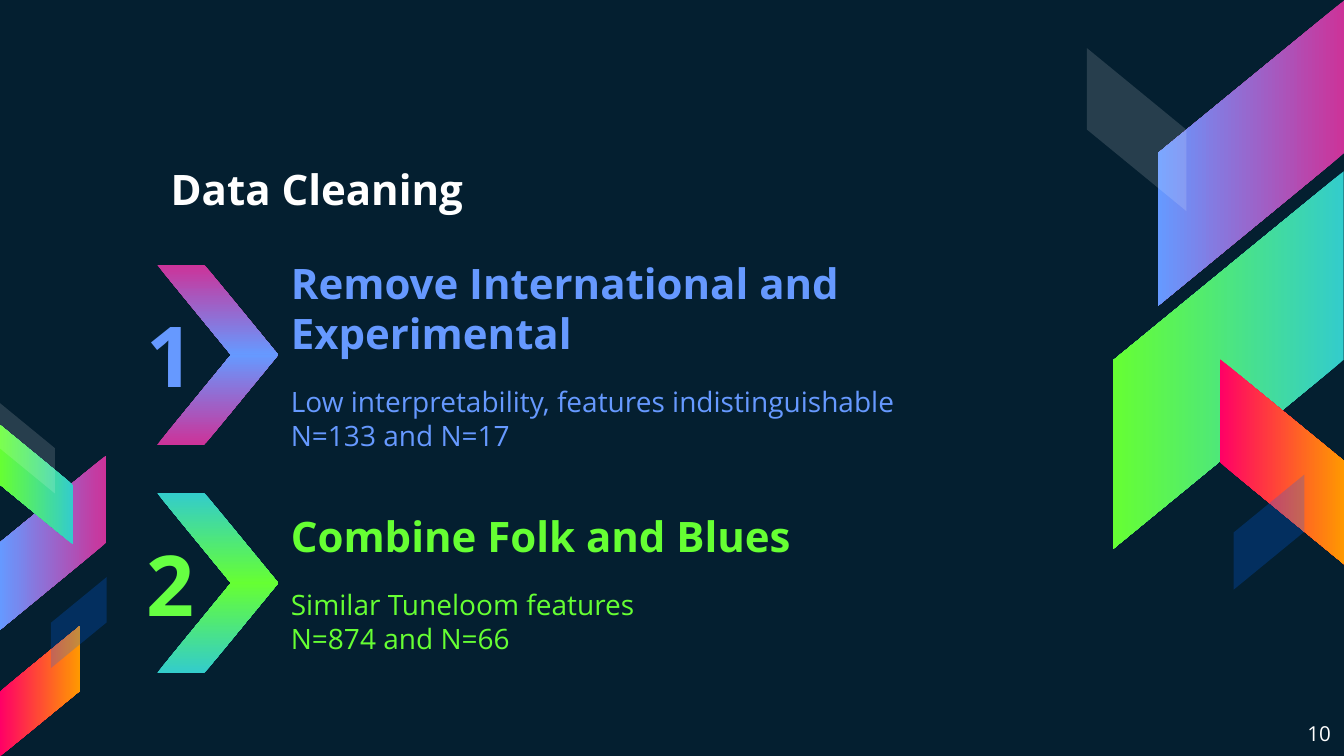
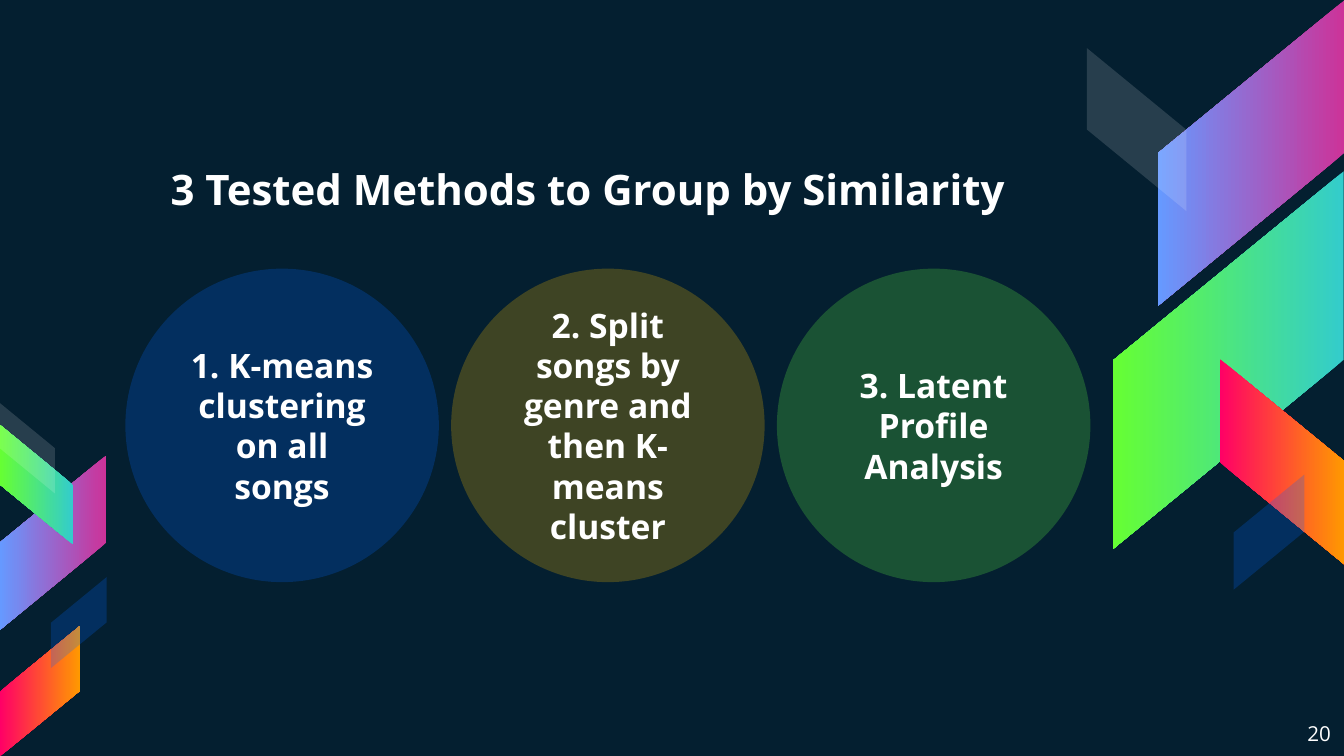
from lxml import etree
from pptx import Presentation
from pptx import util as u
from pptx.dml.color import RGBColor
from pptx.enum import shapes, text
from pptx.oxml.ns import qn

COLORS = {
    "night": "041F30", "white": "FFFFFF", "magenta": "CC3399", "sky": "6699FF",
    "teal": "33CCCC", "green": "66FF33", "lime": "66FF42", "red": "FF0066",
    "orange": "FF9900", "blue": "0066FF", "amber": "FFC000",
}
FONT = "Open Sans"
INSET = 0.34
SLANT = 0.82

VIOLET = ("magenta", "sky")
MINT = ("teal", "green")
FIRE = ("red", "orange")
GLASS = ("white", 14)
DEEP = ("blue", 23)

STRIPES = [
    ((27.69, 1.5, 7.7, 4.7), 90, True, VIOLET),
    ((26.19, 6.17, 9.52, 5.82), 90, True, MINT),
    ((29.72, 10.06, 5.18, 3.15), 270, False, FIRE),
    ((26.59, 2.01, 4.11, 2.51), 270, False, GLASS),
    ((30.53, 12.52, 2.9, 1.78), 270, True, DEEP),
    ((-0.86, 12.34, 4.39, 2.67), 90, True, VIOLET),
    ((-0.58, 11.3, 3, 1.83), 90, False, MINT),
    ((-0.63, 16.41, 3.28, 2.01), 270, True, FIRE),
    ((-0.46, 10.59, 2.29, 1.4), 270, False, GLASS),
    ((0.84, 14.99, 2.29, 1.4), 270, True, DEEP),
]
CLEANING = {
    "title": "Data Cleaning", "number": "10",
    "steps": [
        ("1", "sky", "sky", VIOLET, "Remove International and Experimental",
         ["Low interpretability, features indistinguishable", "N=133 and N=17"]),
        ("2", "lime", "green", MINT, "Combine Folk and Blues",
         ["Similar Tuneloom features", "N=874 and N=66"]),
    ],
}
METHODS = {
    "title": "3 Tested Methods to Group by Similarity", "number": "20",
    "circles": [
        ("1. K-means clustering on all songs", DEEP),
        ("2. Split songs by genre and then K-means cluster", ("amber", 23)),
        ("3. Latent Profile Analysis", ("lime", 23)),
    ],
}
TITLE_BOX = (3.96, 3.38, 22.12, 2.36)
NUMBER_BOX = (31.7, 17.83, 2.18, 1.22)
STEP_TOP, STEP_PITCH = 6.67, 5.75
CHEVRON_LEFT, CHEVRON_WIDTH, CHEVRON_HALF = 3.96, 3.05, 2.27
CIRCLE_LEFT, CIRCLE_TOP, CIRCLE_SIZE, CIRCLE_PITCH = 3.16, 6.77, 7.9, 8.21


def rgb(name):
    return RGBColor.from_string(COLORS[name])


def lengths(box):
    return [u.Cm(value) for value in box]


def apply(target, values):
    for name, value in values.items():
        setattr(target, name, value)


def write(shape, lines, align="LEFT", anchor="TOP", inset=INSET, wrap=True, fit="NONE"):
    frame = shape.text_frame
    apply(frame, {
        "word_wrap": wrap, "auto_size": getattr(text.MSO_AUTO_SIZE, fit),
        "vertical_anchor": getattr(text.MSO_ANCHOR, anchor),
    })
    for side in ("left", "top", "right", "bottom"):
        setattr(frame, f"margin_{side}", u.Cm(inset))
    for index, (words, size, color, bold, before) in enumerate(lines):
        paragraph = frame.paragraphs[0] if index == 0 else frame.add_paragraph()
        apply(paragraph, {"alignment": getattr(text.PP_ALIGN, align),
                          "space_before": u.Pt(before)})
        run = paragraph.add_run()
        run.text = words
        apply(run.font, {"name": FONT, "size": u.Pt(size), "bold": bold})
        run.font.color.rgb = rgb(color)


def add_text(slide, box, lines, **style):
    write(slide.shapes.add_textbox(*lengths(box)), lines, **style)


def add_figure(slide, kind, box):
    shape = slide.shapes.add_shape(kind, *lengths(box))
    shape.shadow.inherit = False
    shape.line.fill.background()
    return shape


def fill_sheer(shape, color, percent):
    shape.fill.solid()
    shape.fill.fore_color.rgb = rgb(color)
    node = next(shape.element.spPr.iter(qn("a:srgbClr")))
    etree.SubElement(node, qn("a:alpha"), val=str(percent * 1000))


def fill_gradient(shape, colors):
    shape.fill.gradient()
    shape.fill.gradient_angle = 270
    for stop, position, color in zip(shape.fill.gradient_stops, (0, 1), colors):
        stop.position = position
        stop.color.rgb = rgb(color)


def add_stripe(slide, box, rotation, flipped, paint):
    shape = add_figure(slide, shapes.MSO_SHAPE.PARALLELOGRAM, box)
    shape.adjustments[0] = SLANT
    shape.rotation = rotation
    if flipped:
        shape.element.spPr.find(qn("a:xfrm")).set("flipH", "1")
    if paint[1] in COLORS:
        fill_gradient(shape, paint)
    else:
        fill_sheer(shape, *paint)
    return shape


def style_layout(layout, slide):
    layout.background.fill.solid()
    layout.background.fill.fore_color.rgb = rgb("night")
    title = layout.placeholders[0]
    apply(title, dict(zip(("left", "top", "width", "height"), lengths(TITLE_BOX))))
    for index, stripe in enumerate(STRIPES):
        layout.shapes.element.insert(2 + index, add_stripe(slide, *stripe).element)


def add_frame(slide, content):
    write(slide.shapes.title, [(content["title"], 30, "white", True, 0)], anchor="BOTTOM")
    add_text(slide, NUMBER_BOX, [(content["number"], 14.7, "white", False, 0)], align="RIGHT")


def add_step(slide, index, numeral, numeral_color, color, paint, heading, details):
    top = STEP_TOP + index * STEP_PITCH
    for half, (rotation, flipped) in enumerate([(0, True), (180, False)]):
        box = (CHEVRON_LEFT, top + half * CHEVRON_HALF, CHEVRON_WIDTH, CHEVRON_HALF)
        add_stripe(slide, box, rotation, flipped, paint)
    lines = [(heading, 30, color, True, 0)]
    lines += [(detail, 20, color, False, 0 if row else 19) for row, detail in enumerate(details)]
    add_text(slide, (6.99, top, 20.83, 2 * CHEVRON_HALF), lines, anchor="MIDDLE")
    add_text(slide, (3.45, top + 0.74, 1.6, 2.82), [(numeral, 60, numeral_color, True, 0)],
             inset=0.25, wrap=False, fit="SHAPE_TO_FIT_TEXT")


def add_circle(slide, index, words, paint):
    box = (CIRCLE_LEFT + index * CIRCLE_PITCH, CIRCLE_TOP, CIRCLE_SIZE, CIRCLE_SIZE)
    shape = add_figure(slide, shapes.MSO_SHAPE.OVAL, box)
    fill_sheer(shape, *paint)
    write(shape, [(words, 24, "white", True, 0)], align="CENTER", anchor="MIDDLE")


presentation = Presentation()
apply(presentation, {"slide_width": u.Cm(33.87), "slide_height": u.Cm(19.05)})
title_only = presentation.slide_layouts[5]
cleaning, methods = [presentation.slides.add_slide(title_only) for _ in range(2)]
style_layout(title_only, cleaning)

add_frame(cleaning, CLEANING)
for index, step in enumerate(CLEANING["steps"]):
    add_step(cleaning, index, *step)

add_frame(methods, METHODS)
for index, circle in enumerate(METHODS["circles"]):
    add_circle(methods, index, *circle)

presentation.save("out.pptx")
